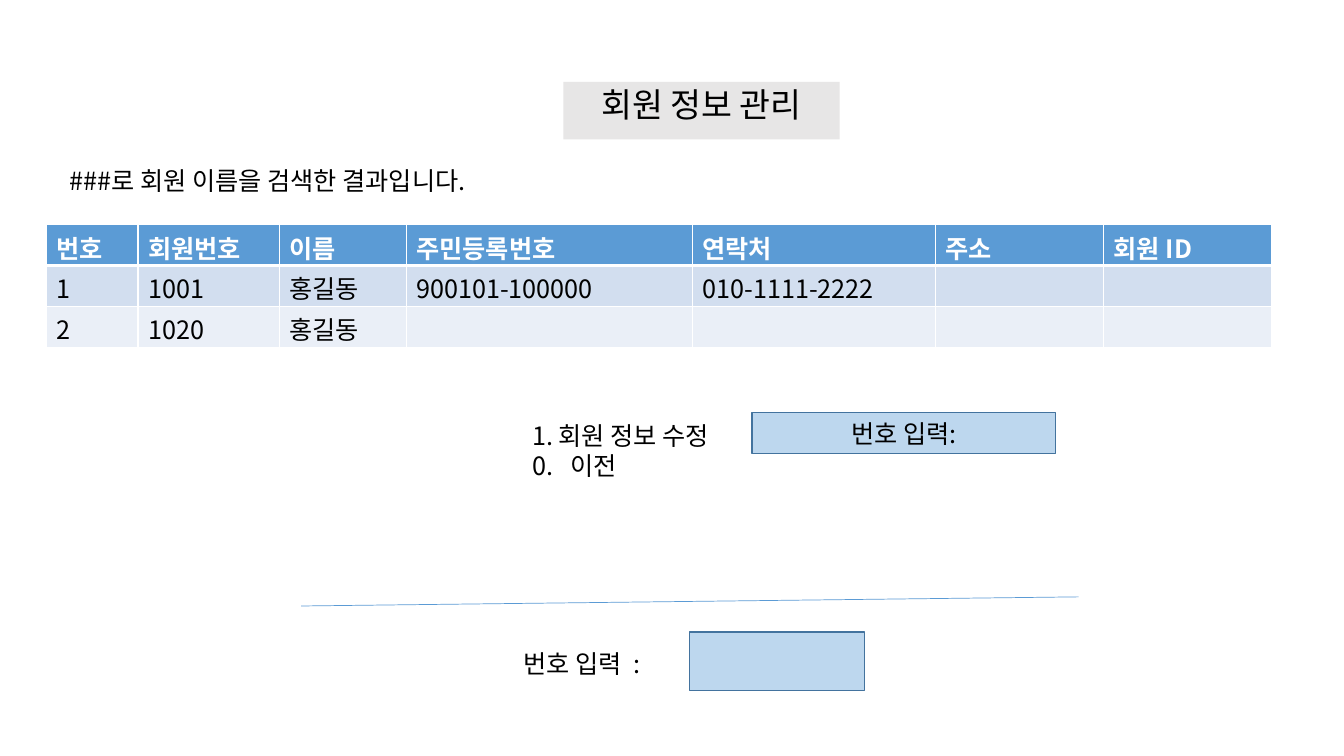
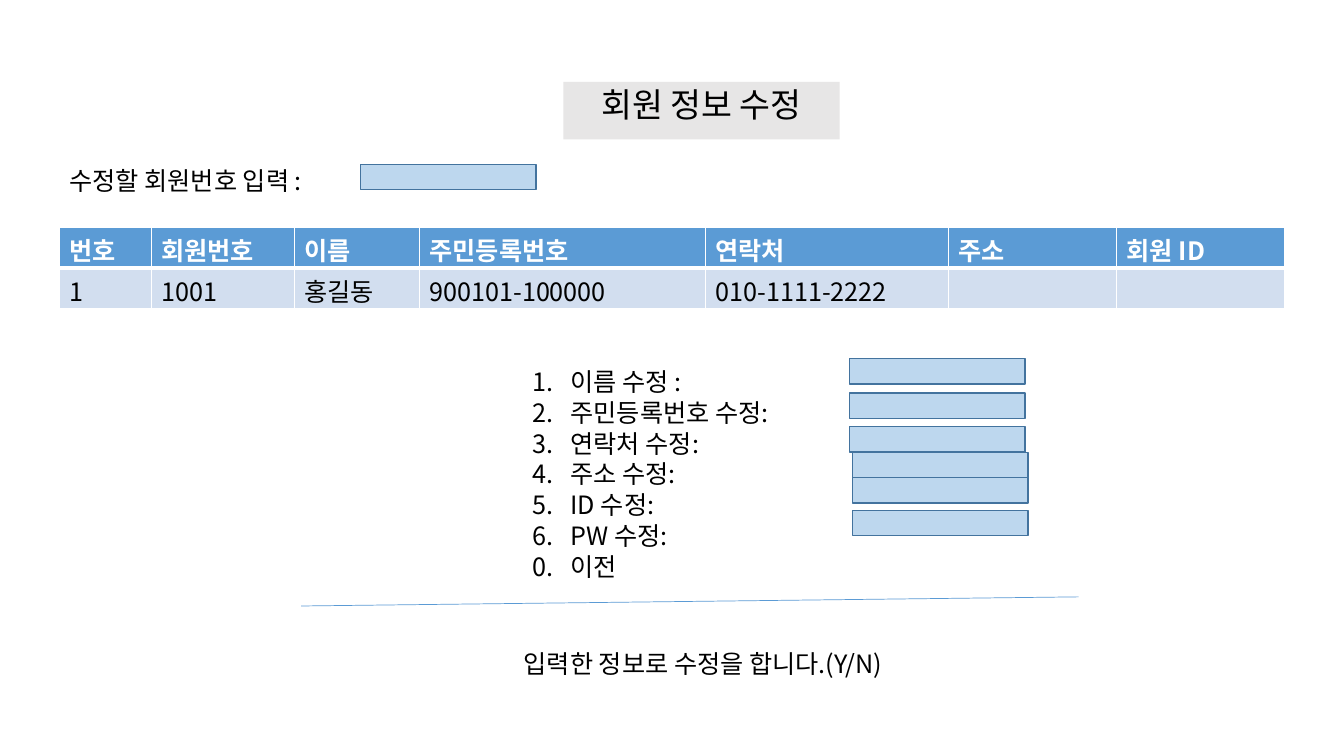
"""Build the member search and member edit screens."""
from lxml import etree
from pptx import Presentation
from pptx import util as u
from pptx.dml.color import RGBColor
from pptx.enum import shapes, text
from pptx.oxml import ns

FONT = "Noto Sans CJK KR"
BLACK = RGBColor(0x00, 0x00, 0x00)
WHITE = RGBColor(0xFF, 0xFF, 0xFF)
GRAY = RGBColor(0xE7, 0xE6, 0xE6)
BLUE = RGBColor(0x5B, 0x9B, 0xD5)
EDGE = RGBColor(0x43, 0x73, 0x9E)
PALE = RGBColor(0xBD, 0xD7, 0xEE)
BANDS = (RGBColor(0xD2, 0xDE, 0xEF), RGBColor(0xEA, 0xEF, 0xF7))

HEADS = ("번호", "회원번호", "이름", "주민등록번호", "연락처", "주소", "회원 ID")
FIRST = ("1", "1001", "홍길동", "900101-100000", "010-1111-2222", "", "")
OTHER = ("2", "1020", "홍길동", "", "", "", "")
ROW = 1.03
FIELD = (4.42, 0.64)
INDENT = 0.97


def sub(node, tag, **attrs):
    """Append a drawing element to a node."""
    return etree.SubElement(node, ns.qn(tag), attrs)


def write(para, words, size=18, color=BLACK, bold=False, lead=22):
    """Add one styled run to a paragraph."""
    para.line_spacing = u.Pt(lead)
    run = para.add_run()
    run.text = words
    font = run.font
    font.name, font.size, font.bold = FONT, u.Pt(size), bold
    font.color.rgb = color
    sub(run._r.get_or_add_rPr(), "a:ea", typeface=FONT)


def add_title(slide, words):
    """Place and format the title."""
    title = slide.shapes.title
    title.left, title.top = u.Cm(14.2), u.Cm(2.06)
    title.width, title.height = u.Cm(6.96), u.Cm(1.45)
    title.fill.solid()
    title.fill.fore_color.rgb = GRAY
    frame = title.text_frame
    frame.auto_size = text.MSO_AUTO_SIZE.NONE
    frame.vertical_anchor = text.MSO_ANCHOR.TOP
    para = frame.paragraphs[0]
    para.alignment = text.PP_ALIGN.CENTER
    write(para, words, size=24, lead=27)


def add_text(slide, left, top, width, height, lines):
    """Add a text box and return its paragraphs."""
    box = slide.shapes.add_textbox(u.Cm(left), u.Cm(top), u.Cm(width), u.Cm(height))
    frame = box.text_frame
    frame.word_wrap = True
    frame.margin_top = u.Cm(0.18)
    for i, line in enumerate(lines):
        para = frame.add_paragraph() if i else frame.paragraphs[0]
        write(para, line)
    return frame.paragraphs


def hang(para, number=False):
    """Give a paragraph a hanging indent and maybe a number."""
    props = para._p.get_or_add_pPr()
    props.set("marL", str(u.Cm(INDENT)))
    props.set("indent", str(-u.Cm(INDENT)))
    if number:
        sub(props, "a:buFont", typeface=FONT)
        sub(props, "a:buAutoNum", type="arabicPeriod")


def add_field(slide, left, top, width, height, words=""):
    """Add an input field."""
    box = slide.shapes.add_shape(
        shapes.MSO_SHAPE.RECTANGLE, u.Cm(left), u.Cm(top), u.Cm(width), u.Cm(height))
    box.shadow.inherit = False
    box.fill.solid()
    box.fill.fore_color.rgb = PALE
    box.line.color.rgb = EDGE
    box.line.width = u.Pt(1)
    if words:
        frame = box.text_frame
        frame.vertical_anchor = text.MSO_ANCHOR.MIDDLE
        para = frame.paragraphs[0]
        para.alignment = text.PP_ALIGN.CENTER
        write(para, words)


def add_rule(slide):
    """Add the line above the prompt."""
    rule = slide.shapes.add_connector(
        shapes.MSO_CONNECTOR.STRAIGHT, u.Cm(7.59), u.Cm(15.27), u.Cm(27.18), u.Cm(15.04))
    rule.line.color.rgb = BLUE
    rule.line.width = u.Pt(0.5)
    sub(rule._element.spPr, "a:effectLst")


def style_cell(cell, words, fill, head, below):
    """Fill, border and write one cell."""
    props = cell._tc.get_or_add_tcPr()
    for side, width in (("L", 1), ("R", 1), ("T", 3 if below else 1), ("B", 3 if head else 1)):
        line = sub(props, "a:ln" + side, w=str(u.Pt(width)))
        sub(sub(line, "a:solidFill"), "a:srgbClr", val=str(WHITE))
    cell.fill.solid()
    cell.fill.fore_color.rgb = fill
    cell.margin_top, cell.margin_bottom = u.Cm(0.25), 0
    if words:
        write(cell.text_frame.paragraphs[0], words, color=WHITE if head else BLACK, bold=head)


def add_table(slide, left, top, widths, rows):
    """Add the member table."""
    table = slide.shapes.add_table(
        len(rows) + 1, len(HEADS), u.Cm(left), u.Cm(top),
        u.Cm(sum(widths)), u.Cm(ROW * (len(rows) + 1))).table
    for col, width in zip(table.columns, widths):
        col.width = u.Cm(width)
    for i, row in enumerate((HEADS, *rows)):
        table.rows[i].height = u.Cm(ROW)
        fill = BANDS[(i - 1) % 2] if i else BLUE
        for j, words in enumerate(row):
            style_cell(table.cell(i, j), words, fill, i == 0, i == 1)


def add_page(deck, title, note, prompt):
    """Add a slide with the shared parts."""
    slide = deck.slides.add_slide(deck.slide_layouts[5])
    add_title(slide, title)
    add_text(slide, 1.5, 3.96, 18.08, 1.02, [note])
    add_rule(slide)
    add_text(slide, 12.95, 16.15, 10.52, 1.02, [prompt])
    return slide


def add_menu(slide, top, height, lines):
    """Add the menu, ending with the way back."""
    paras = add_text(slide, 13.16, top, 9.42, height, [*lines, "0.\t이전"])
    hang(paras[-1])
    return paras[:-1]


def build_search(deck):
    """Build the search result slide."""
    slide = add_page(deck, "회원 정보 관리", "###로 회원 이름을 검색한 결과입니다.", "번호 입력  :")
    add_table(slide, 1.17, 5.66, (2.31, 3.56, 3.2, 7.21, 6.12, 4.24, 4.24), (FIRST, OTHER))
    add_menu(slide, 10.39, 1.8, ["1. 회원 정보 수정"])
    add_field(slide, 18.95, 10.39, 7.65, 1.04, "번호 입력:")
    add_field(slide, 17.37, 15.93, 4.42, 1.47)


def build_edit(deck):
    """Build the member edit slide."""
    slide = add_page(deck, "회원 정보 수정", "수정할 회원번호 입력 :", "입력한 정보로 수정을 합니다.(Y/N)")
    add_table(slide, 1.5, 5.72, (2.31, 3.61, 3.15, 7.21, 6.12, 4.24, 4.24), (FIRST,))
    items = ("이름 수정 :", "주민등록번호 수정:", "연락처 수정:", "주소 수정:", "ID 수정:", "PW 수정:")
    for para in add_menu(slide, 9.04, 5.64, items):
        hang(para, number=True)
    for left, tops in ((21.41, (9.04, 9.9, 10.75)), (21.49, (11.4, 12.04, 12.86)), (9.09, (4.14,))):
        for top in tops:
            add_field(slide, left, top, *FIELD)


def main():
    """Build and save the deck."""
    deck = Presentation()
    deck.slide_width, deck.slide_height = u.Cm(33.87), u.Cm(19.05)
    build_search(deck)
    build_edit(deck)
    deck.save("out.pptx")


if __name__ == "__main__":
    main()
